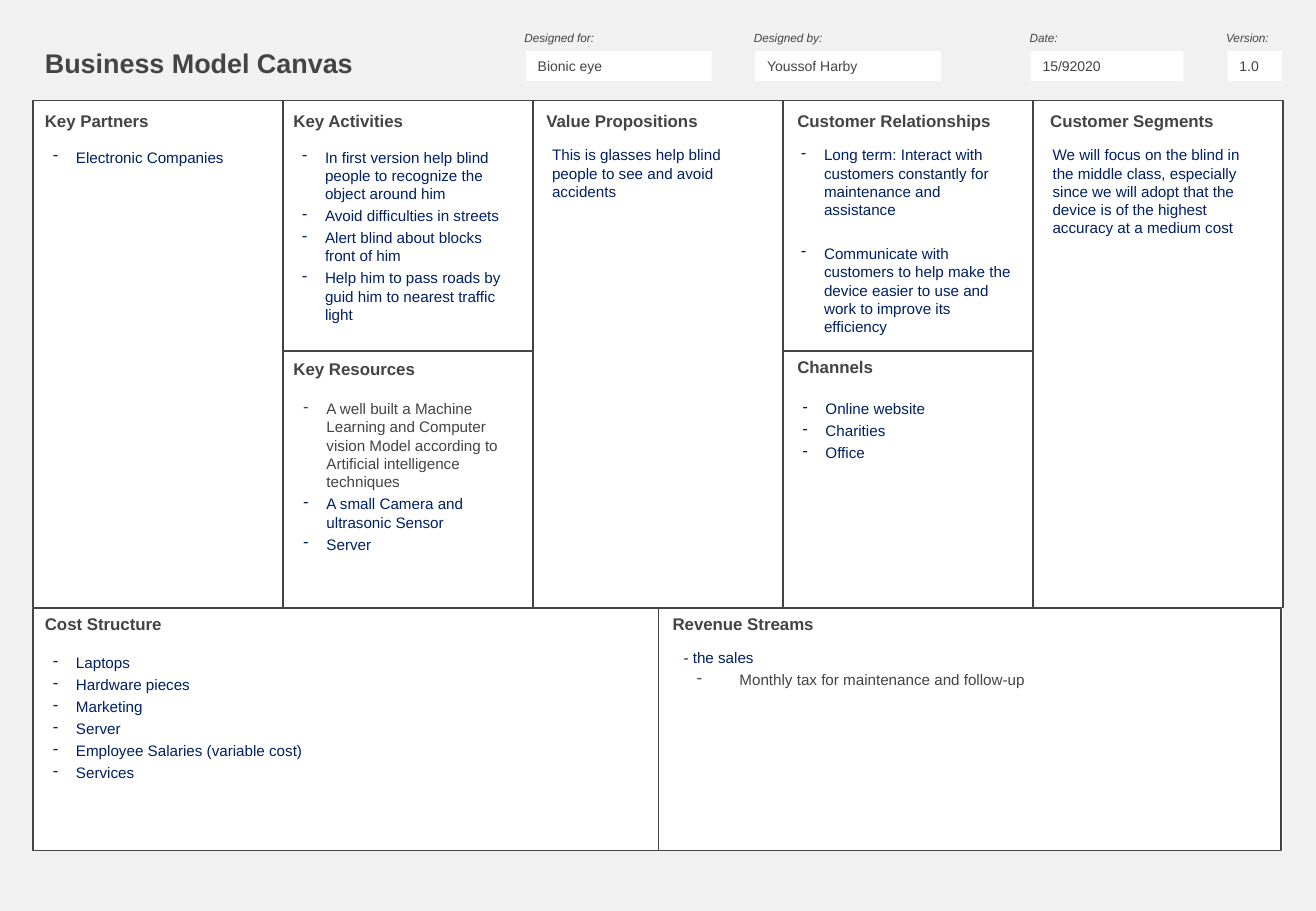
"""Build a one-slide business model canvas."""
from dataclasses import dataclass
from typing import Optional

from lxml.etree import SubElement
from pptx import Presentation
from pptx.dml.color import RGBColor
from pptx.enum.shapes import MSO_SHAPE
from pptx.enum.text import MSO_ANCHOR, PP_ALIGN
from pptx.oxml.ns import qn
from pptx.slide import Slide
from pptx.util import Cm, Pt

GRAY = RGBColor(0x44, 0x44, 0x44)
NAVY = RGBColor(0x00, 0x20, 0x60)
WHITE = RGBColor(0xFF, 0xFF, 0xFF)
BACKDROP = RGBColor(0xF1, 0xF1, 0xF1)

LEFT, TOP, COLUMN = 0.69, 2.11, 5.23
TALL, UPPER, LOWER, BOTTOM = 10.59, 5.23, 5.36, 5.05
MIDDLE, BASE = 7.34, 12.73


@dataclass(frozen=True)
class Frame:
    """A rectangle measured in centimetres."""
    left: float
    top: float
    width: float
    height: float


@dataclass(frozen=True)
class Note:
    """A paragraph with an optional dash bullet."""
    text: str
    color: RGBColor = NAVY
    dash: bool = True
    space_before: float = 2.2
    margin: float = 0.48
    hanging: float = 0.48


@dataclass(frozen=True)
class Block:
    """A bordered canvas cell with its heading and notes."""
    heading: str
    border: Frame
    heading_left: float
    heading_top: float
    body: Frame
    notes: tuple[Note, ...]


@dataclass(frozen=True)
class Field:
    """A labelled entry in the header."""
    label: str
    value: str
    label_left: float
    left: float
    width: float


def column_left(index: int) -> float:
    """Return the left edge of a canvas column."""
    return round(LEFT + index * COLUMN, 2)


def dashes(*texts: str) -> tuple[Note, ...]:
    """Return one bulleted note per text."""
    return tuple(Note(text) for text in texts)


FIELDS = (
    Field("Designed for:", "Bionic eye", 10.72, 11.0, 3.89),
    Field("Designed by:", "Youssof Harby", 15.52, 15.8, 3.89),
    Field("Date:", "15/92020", 21.29, 21.56, 3.2),
    Field("Version:", "1.0", 25.4, 25.68, 1.14),
)

BLOCKS = (
    Block("Key Partners", Frame(column_left(0), TOP, COLUMN, TALL), 0.69, 2.18,
          Frame(0.86, 2.97, 4.88, 9.53), dashes("Electronic Companies")),
    Block("Key Activities", Frame(column_left(1), TOP, COLUMN, UPPER), 5.89, 2.18,
          Frame(6.07, 2.97, 4.88, 4.24),
          dashes("In first version help blind people to recognize the object around him",
                 "Avoid difficulties in streets",
                 "Alert blind about blocks front of him",
                 "Help him to pass roads by guid him to nearest traffic light")),
    Block("Key Resources", Frame(column_left(1), MIDDLE, COLUMN, LOWER), 5.89, 7.37,
          Frame(6.1, 8.23, 4.88, 4.24),
          (Note("A well built a Machine Learning and Computer vision Model according to "
                "Artificial intelligence techniques", GRAY),
           *dashes("A small Camera and ultrasonic Sensor", "Server"))),
    Block("Value Propositions", Frame(column_left(2), TOP, COLUMN, TALL), 11.18, 2.18,
          Frame(11.3, 2.92, 4.88, 9.55),
          (Note("This is glasses help blind people to see and avoid accidents", dash=False),)),
    Block("Customer Relationships", Frame(column_left(3), TOP, COLUMN, UPPER), 16.43, 2.18,
          Frame(16.51, 2.92, 4.88, 4.24),
          (Note("Long term: Interact with customers constantly for maintenance and assistance"),
           Note("Communicate with customers to help make the device easier to use "
                "and work to improve its efficiency", space_before=15.2))),
    Block("Channels", Frame(column_left(3), MIDDLE, COLUMN, LOWER), 16.43, 7.34,
          Frame(16.54, 8.23, 4.88, 4.24), dashes("Online website", "Charities", "Office")),
    Block("Customer Segments", Frame(column_left(4), TOP, COLUMN, TALL), 21.72, 2.18,
          Frame(21.77, 2.92, 4.88, 9.55),
          (Note("We will focus on the blind in the middle class, especially since we will adopt "
                "that the device is of the highest accuracy at a medium cost", dash=False),)),
    Block("Cost Structure", Frame(LEFT, BASE, 13.08, BOTTOM), 0.69, 12.7,
          Frame(0.86, 13.54, 12.67, 4.01),
          dashes("Laptops", "Hardware pieces", "Marketing", "Server",
                 "Employee Salaries (variable cost)", "Services")),
    Block("Revenue Streams", Frame(13.77, BASE, 13.03, BOTTOM), 13.82, 12.7,
          Frame(14.05, 13.44, 12.6, 4.24),
          (Note("- the sales", dash=False),
           Note("Monthly tax for maintenance and follow-up", GRAY, margin=1.17, hanging=0.89))),
)


def add_panel(page: Slide, frame: Frame, fill: Optional[RGBColor] = None,
              line: Optional[RGBColor] = None):
    """Draw a rectangle with an optional fill and border."""
    panel = page.shapes.add_shape(MSO_SHAPE.RECTANGLE, Cm(frame.left), Cm(frame.top),
                                  Cm(frame.width), Cm(frame.height))
    panel.shadow.inherit = False
    if fill is None:
        panel.fill.background()
    else:
        panel.fill.solid()
        panel.fill.fore_color.rgb = fill
    if line is None:
        panel.line.fill.background()
    else:
        panel.line.color.rgb = line
        panel.line.width = Pt(0.75)
    return panel


def add_dash(para, note: Note) -> None:
    """Give a paragraph a coloured dash and a hanging indent."""
    properties = para._p.get_or_add_pPr()
    properties.set("marL", str(Cm(note.margin)))
    properties.set("indent", str(-Cm(note.hanging)))
    color = SubElement(properties, qn("a:buClr"))
    SubElement(color, qn("a:srgbClr")).set("val", str(note.color))
    SubElement(properties, qn("a:buChar")).set("char", "-")


def add_text(page: Slide, frame: Frame, *notes: Note, size: float = 9, bold: bool = False,
             italic: bool = False, fill: Optional[RGBColor] = None) -> None:
    """Place formatted paragraphs in a frame."""
    box = add_panel(page, frame, fill).text_frame
    box.word_wrap = True
    box.vertical_anchor = MSO_ANCHOR.TOP
    for index, note in enumerate(notes):
        para = box.add_paragraph() if index else box.paragraphs[0]
        para.alignment = PP_ALIGN.LEFT
        if index:
            para.space_before = Pt(note.space_before)
        if note.dash:
            add_dash(para, note)
        span = para.add_run()
        span.text = note.text
        span.font.name = "Arial"
        span.font.size = Pt(size)
        span.font.bold = bold
        span.font.italic = italic
        span.font.color.rgb = note.color


def add_field(page: Slide, field: Field) -> None:
    """Draw a header label above its value."""
    add_text(page, Frame(field.label_left, 0.51, field.width + 0.5, 0.56),
             Note(field.label, GRAY, dash=False), size=7, italic=True)
    add_text(page, Frame(field.left, 1.07, field.width, 0.63),
             Note(field.value, GRAY, dash=False), size=8.3, fill=WHITE)


def add_block(page: Slide, block: Block) -> None:
    """Draw a canvas cell with its heading and notes."""
    add_panel(page, block.border, line=GRAY)
    add_text(page, block.body, *block.notes, fill=WHITE)
    add_text(page, Frame(block.heading_left, block.heading_top, 4.85, 0.69),
             Note(block.heading, GRAY, dash=False), size=10, bold=True)


def main() -> None:
    """Build and save the deck."""
    deck = Presentation()
    deck.slide_width, deck.slide_height = Cm(27.53), Cm(19.05)
    page = deck.slides.add_slide(deck.slide_layouts[6])
    page.background.fill.solid()
    page.background.fill.fore_color.rgb = BACKDROP
    add_panel(page, Frame(LEFT, TOP, 26.14, 15.67), WHITE, WHITE)
    add_text(page, Frame(LEFT, 0.84, 7.14, 0.94),
             Note("Business Model Canvas", GRAY, dash=False), size=16, bold=True)
    for field in FIELDS:
        add_field(page, field)
    for block in BLOCKS:
        add_block(page, block)
    deck.save("out.pptx")


if __name__ == "__main__":
    main()
